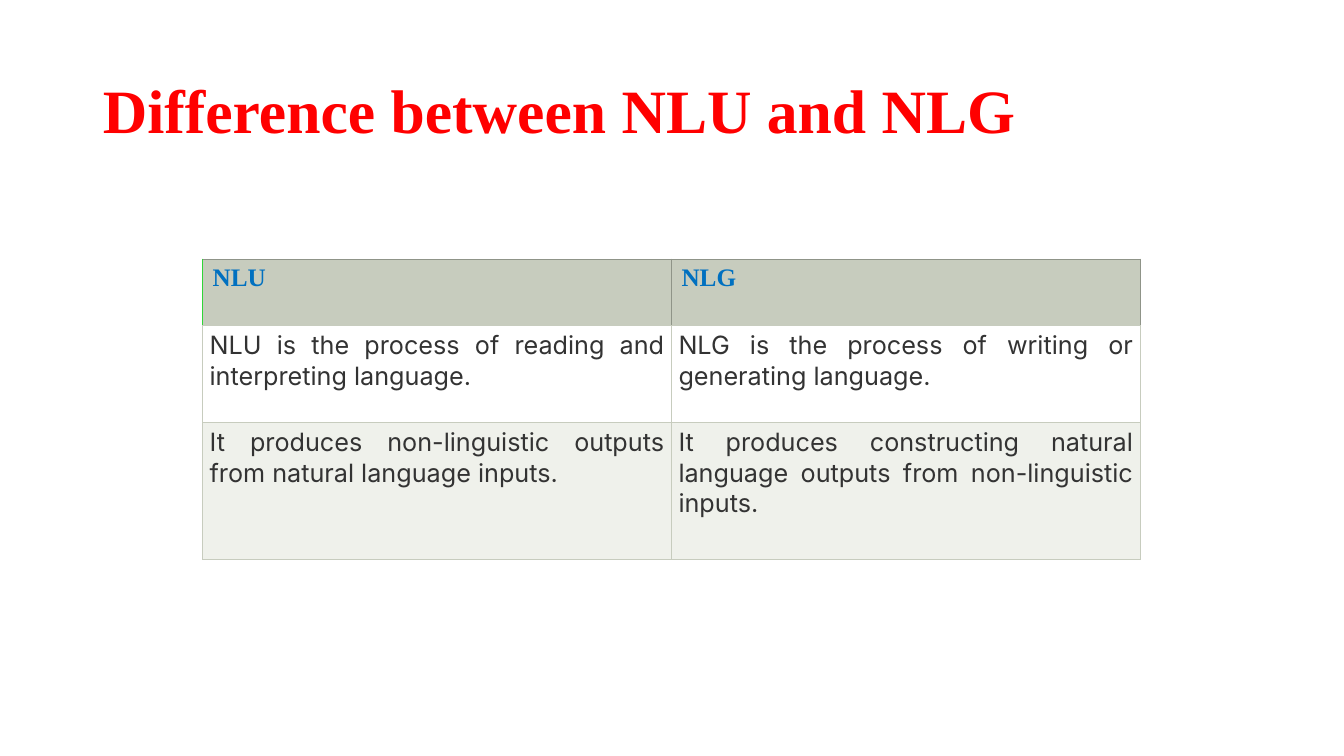
from lxml import etree
from pptx import Presentation
from pptx.dml.color import RGBColor
from pptx.enum.text import MSO_ANCHOR, PP_ALIGN
from pptx.oxml.ns import qn
from pptx.util import Inches, Pt

LEFT, JUSTIFY = PP_ALIGN.LEFT, PP_ALIGN.JUSTIFY
TOP, MIDDLE = MSO_ANCHOR.TOP, MSO_ANCHOR.MIDDLE

RED = RGBColor(0xFF, 0x00, 0x00)
BLUE = RGBColor(0x00, 0x70, 0xC0)
DARK = RGBColor(0x33, 0x33, 0x33)
SAGE = RGBColor(0xC7, 0xCC, 0xBE)
PALE = RGBColor(0xEF, 0xF1, 0xEB)
WHITE = RGBColor(0xFF, 0xFF, 0xFF)
GREEN = RGBColor(0x30, 0xD5, 0x38)
GREY = RGBColor(0x8F, 0x94, 0x88)

SERIF, SANS = "Times New Roman", "Inter"
BORDER_WIDTH = Pt(0.57)

TITLE_BOX = (0.92, 0.4, 11.5, 1.45)
TABLE_BOX = (2.01, 2.57, 9.3, 2.98)
ROW_HEIGHTS = (0.66, 0.96, 1.36)
ROW_FILLS = (SAGE, WHITE, PALE)
COMPARISON = (
    ("NLU", "NLG"),
    ("NLU is the process of reading and interpreting language.",
     "NLG is the process of writing or generating language."),
    ("It produces non-linguistic outputs from natural language inputs.",
     "It produces constructing natural language outputs from non-linguistic inputs."),
)


def write_text(text_frame, text, *, font, size, color, bold=False,
               align=LEFT, line_spacing=1.0):
    paragraph = text_frame.paragraphs[0]
    paragraph.alignment = align
    paragraph.line_spacing = line_spacing
    run = paragraph.add_run()
    run.text = text
    run.font.name = font
    run.font.size = Pt(size)
    run.font.bold = bold
    run.font.color.rgb = color


def set_borders(cell, left, right, top, bottom):
    """Borders precede the cell fill in the XML, in this fixed order."""
    properties = cell._tc.get_or_add_tcPr()
    sides = zip(("a:lnL", "a:lnR", "a:lnT", "a:lnB"), (left, right, top, bottom))
    for position, (tag, color) in enumerate(sides):
        line = etree.Element(qn(tag), w=str(BORDER_WIDTH))
        fill = etree.SubElement(line, qn("a:solidFill"))
        etree.SubElement(fill, qn("a:srgbClr"), val=str(color))
        properties.insert(position, line)


def add_title(slide, box):
    title = slide.shapes.title
    title.left, title.top, title.width, title.height = map(Inches, box)
    title.text_frame.word_wrap = True
    title.text_frame.vertical_anchor = MIDDLE
    write_text(title.text_frame, "Difference between NLU and NLG", font=SERIF,
               size=44, color=RED, bold=True, line_spacing=0.9)


def add_comparison_table(slide, box):
    column_count = len(COMPARISON[0])
    table = slide.shapes.add_table(len(COMPARISON), column_count,
                                   *map(Inches, box)).table
    for column in table.columns:
        column.width = Inches(box[2] / column_count)
    for row, height in zip(table.rows, ROW_HEIGHTS):
        row.height = Inches(height)

    for row_index, texts in enumerate(COMPARISON):
        for column_index, text in enumerate(texts):
            cell = table.cell(row_index, column_index)
            cell.fill.solid()
            cell.fill.fore_color.rgb = ROW_FILLS[row_index]
            cell.vertical_anchor = TOP
            if row_index == 0:
                # Header cells
                write_text(cell.text_frame, text, font=SERIF, size=18,
                           color=BLUE, bold=True)
                outer = GREEN if column_index == 0 else GREY
                set_borders(cell, outer, GREY, GREY, SAGE)
            else:
                # Body cells
                cell.margin_left = cell.margin_right = Inches(0.07)
                cell.margin_top = cell.margin_bottom = Inches(0.05)
                write_text(cell.text_frame, text, font=SANS, size=18,
                           color=DARK, align=JUSTIFY)
                set_borders(cell, SAGE, SAGE, SAGE, SAGE)


def main():
    presentation = Presentation()
    presentation.slide_width = Inches(13.33)
    presentation.slide_height = Inches(7.5)
    title_only = presentation.slide_layouts[5]
    slide = presentation.slides.add_slide(title_only)
    add_title(slide, TITLE_BOX)
    add_comparison_table(slide, TABLE_BOX)
    presentation.save("out.pptx")


if __name__ == "__main__":
    main()
